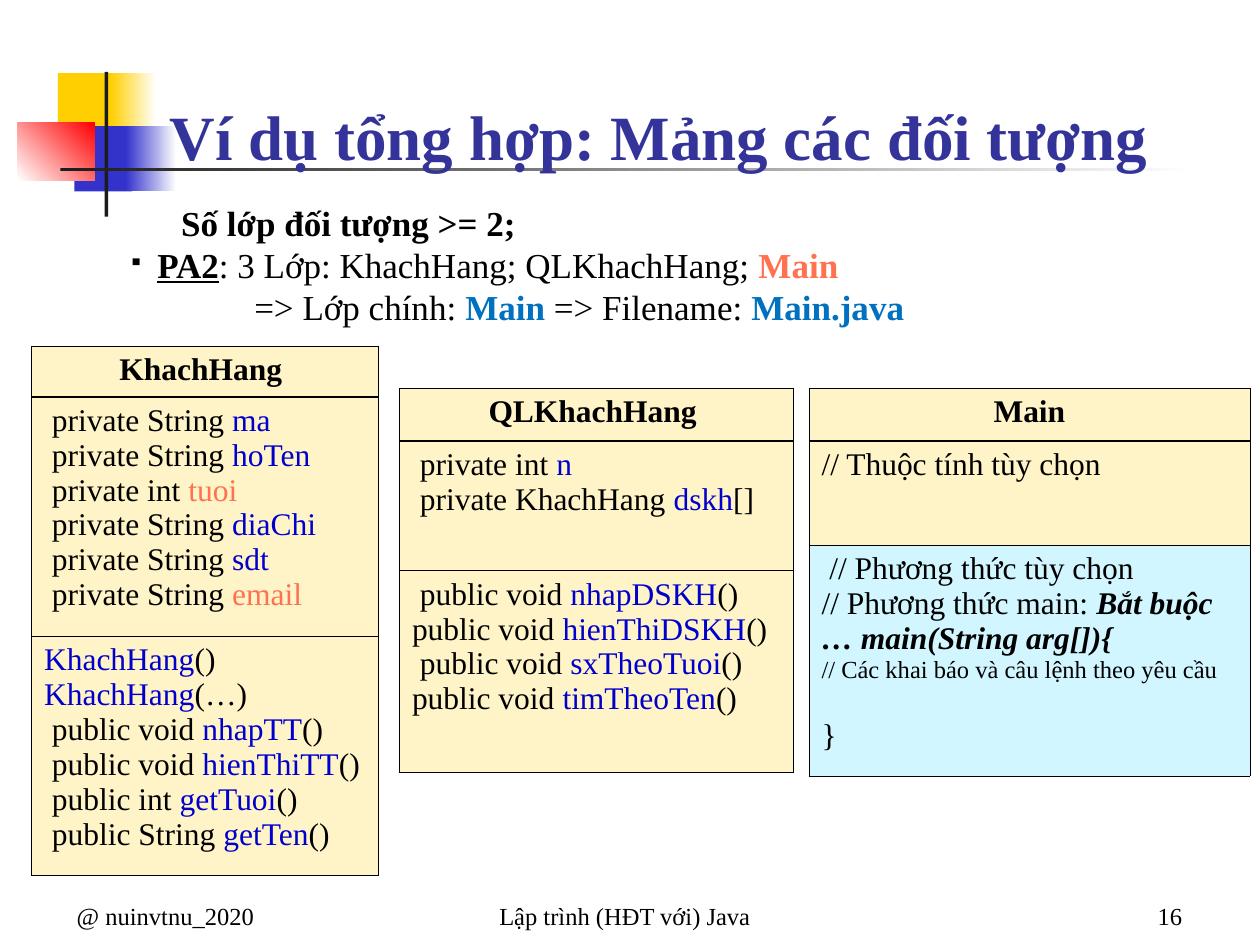
from lxml import etree
from pptx import Presentation
from pptx.dml.color import RGBColor
from pptx.enum.shapes import MSO_SHAPE
from pptx.enum.text import MSO_ANCHOR, PP_ALIGN
from pptx.oxml.ns import qn
from pptx.util import Inches, Pt

RECTANGLE = MSO_SHAPE.RECTANGLE
TOP, BOTTOM = MSO_ANCHOR.TOP, MSO_ANCHOR.BOTTOM
LEFT, CENTER, RIGHT = PP_ALIGN.LEFT, PP_ALIGN.CENTER, PP_ALIGN.RIGHT
FONT = "Times New Roman"
COLORS = {
    "white": "FFFFFF", "black": "000000", "yellow": "FFCF01", "blue": "3333CC",
    "red": "FF0000", "bar": "1C1C1C", "title": "333399", "name": "0000CC",
    "accent": "FF714F", "file": "0070C0", "cream": "FFF4C8", "sky": "D1F6FF",
}
THIN, THICK = 0.45, 0.96

# Run styles: a colour plus font attributes that differ from plain text
STYLES = {
    "plain": {},
    "bold": {"bold": True},
    "underlined": {"bold": True, "underline": True},
    "required": {"bold": True, "italic": True},
    "small": {"size": Pt(14)},
    "name": {"color": "name"},
    "accent": {"color": "accent"},
    "accent bold": {"color": "accent", "bold": True},
    "file": {"color": "file", "bold": True},
    "title": {"color": "title", "bold": True},
}


def rgb(color):
    return RGBColor.from_string(COLORS[color])


def add_runs(paragraph, runs, size):
    for text, style in runs:
        run = paragraph.add_run()
        run.text = text
        values = {"name": FONT, "size": Pt(size), "bold": False, "color": "black", **STYLES[style]}
        run.font.color.rgb = rgb(values.pop("color"))
        for attribute, value in values.items():
            setattr(run.font, attribute, value)


def fill_text(frame, lines, size, alignment=LEFT):
    for index, runs in enumerate(lines):
        paragraph = frame.paragraphs[0] if index == 0 else frame.add_paragraph()
        paragraph.alignment = alignment
        add_runs(paragraph, runs, size)


def add_text(slide, box, lines, size, alignment=LEFT, anchor=BOTTOM):
    frame = slide.shapes.add_textbox(*map(Inches, box)).text_frame
    frame.word_wrap = True
    frame.vertical_anchor = anchor
    fill_text(frame, lines, size, alignment)
    return frame


def add_block(slide, box, start, end=None, angle=0):
    shape = slide.shapes.add_shape(RECTANGLE, *map(Inches, box))
    shape.shadow.inherit = False
    shape.line.fill.background()
    if end is None:
        shape.fill.solid()
        shape.fill.fore_color.rgb = rgb(start)
        return
    shape.fill.gradient()
    shape.fill.gradient_angle = angle
    for stop, color in zip(shape.fill.gradient_stops, (start, end)):
        stop.color.rgb = rgb(color)


def add_ornament(slide, left, top):
    """Coloured blocks and the two bars behind the title."""
    blocks = [
        (0.32, 0.01, 0.48, 0.52, "yellow"),
        (0.74, 0.01, 0.36, 0.52, "yellow", "white"),
        (0.45, 0.43, 0.46, 0.52, "blue"),
        (0.86, 0.43, 0.4, 0.52, "blue", "white"),
        (0, 0.4, 0.61, 0.46, "white", "red", 45),
        (0.69, 0, 0.03, 1.15, "bar"),
        (0.34, 0.76, 9, 0.03, "bar", "white"),
    ]
    for x, y, width, height, *colors in blocks:
        add_block(slide, (left + x, top + y, width, height), *colors)


def add_summary(slide, box):
    lines = [
        [("Số lớp đối tượng >= 2;", "bold")],
        [("PA2", "underlined"), (": 3 Lớp: KhachHang; QLKhachHang; ", "plain"), ("Main", "accent bold")],
        [("=> Lớp chính: ", "plain"), ("Main ", "file"),
         ("=> Filename: ", "plain"), ("Main.java", "file")],
    ]
    frame = add_text(slide, box, lines, 20, anchor=TOP)
    indents = [(0.42, 0), (0.23, -0.23), (1, 0)]
    for paragraph, (margin, indent) in zip(frame.paragraphs, indents):
        paragraph.line_spacing = Pt(24)
        properties = paragraph._p.get_or_add_pPr()
        properties.set("marL", str(Inches(margin)))
        properties.set("indent", str(Inches(indent)))
    # Square bullet on the second line
    properties = frame.paragraphs[1]._p.get_or_add_pPr()
    color = etree.SubElement(properties, qn("a:buClr"))
    etree.SubElement(color, qn("a:srgbClr"), val=COLORS["black"])
    etree.SubElement(properties, qn("a:buSzPct"), val="60000")
    etree.SubElement(properties, qn("a:buChar"), char="▪")


def set_borders(cell, top, bottom):
    properties = cell._tc.get_or_add_tcPr()
    for side, width in (("L", THIN), ("R", THIN), ("T", top), ("B", bottom)):
        line = etree.SubElement(properties, qn(f"a:ln{side}"), w=str(Pt(width)))
        fill = etree.SubElement(line, qn("a:solidFill"))
        etree.SubElement(fill, qn("a:srgbClr"), val=COLORS["black"])


def add_class(slide, left, top, width, heights, name, fields, methods, method_fill="cream"):
    """Class diagram: name, fields and methods, one row each."""
    table = slide.shapes.add_table(
        3, 1, Inches(left), Inches(top), Inches(width), Inches(sum(heights))).table
    table.first_row = table.horz_banding = False
    rows = [
        ([[(name, "bold")]], CENTER, "cream", THIN, THICK),
        (fields, LEFT, "cream", THICK, THIN),
        (methods, LEFT, method_fill, THIN, THIN),
    ]
    for index, (lines, alignment, color, upper, lower) in enumerate(rows):
        table.rows[index].height = Inches(heights[index])
        cell = table.cell(index, 0)
        set_borders(cell, upper, lower)
        cell.fill.solid()
        cell.fill.fore_color.rgb = rgb(color)
        fill_text(cell.text_frame, lines, 18, alignment)
    return table


def member(prefix, name, suffix="", style="name"):
    parts = [(prefix, "plain"), (name, style), (suffix, "plain")]
    return [part for part in parts if part[0]]


def add_classes(slide):
    add_class(
        slide, 0.25, 2.75, 2.75, (0.4, 1.9, 1.9), "KhachHang ",
        [member(" private String ", "ma"), member(" private String ", "hoTen"),
         member(" private int ", "tuoi", style="accent"), member(" private String ", "diaChi"),
         member(" private String ", "sdt"), member(" private String ", "email", style="accent")],
        [member("", "KhachHang", "()"), member("", "KhachHang", "(…)"),
         member(" public void ", "nhapTT", "()"), member(" public void ", "hienThiTT", "()"),
         member(" public int ", "getTuoi", "()"), member(" public String ", "getTen", "()")])
    add_class(
        slide, 3.17, 3.08, 3.13, (0.42, 1.03, 1.6), "QLKhachHang ",
        [member(" private int ", "n"), member(" private KhachHang ", "dskh", "[]")],
        [member(" public void ", "nhapDSKH", "()"), member("public void ", "hienThiDSKH", "()"),
         member(" public void ", "sxTheoTuoi", "()"), member("public void ", "timTheoTen", "()")])
    main_table = add_class(
        slide, 6.42, 3.08, 3.5, (0.42, 0.83, 1.83), "Main",
        [[("// Thuộc tính tùy chọn", "plain")]],
        [[(" // Phương thức tùy chọn", "plain")],
         [("// Phương thức main:", "plain"), (" Bắt buộc", "required")],
         [("… main(String arg[]){", "required")],
         [("// Các khai báo và câu lệnh theo yêu cầu", "small")],
         [("}", "plain")]], "sky")
    # Gap of one line before the closing brace
    main_table.cell(2, 0).text_frame.paragraphs[-1].space_before = Pt(20)


def add_footer(slide, top, height):
    parts = [
        (0.51, 2.08, "@ nuinvtnu_2020", LEFT),
        (3.17, 3.58, "Lập trình (HĐT với) Java", CENTER),
        (7.4, 2.08, "16", RIGHT),
    ]
    for left, width, text, alignment in parts:
        add_text(slide, (left, top, width, height), [[(text, "plain")]], 14, alignment)


def main():
    presentation = Presentation()
    presentation.slide_width, presentation.slide_height = Inches(10), Inches(7.5)
    slide = presentation.slides.add_slide(presentation.slide_layouts[6])
    add_ornament(slide, 0.14, 0.57)
    add_footer(slide, 6.93, 0.5)
    add_text(slide, (1.25, 0.17, 8.52, 1.25),
             [[("Ví dụ tổng hợp: Mảng các đối tượng", "title")]], 36)
    add_summary(slide, (0.92, 1.55, 8.83, 1.1))
    add_classes(slide)
    presentation.save("out.pptx")


if __name__ == "__main__":
    main()
